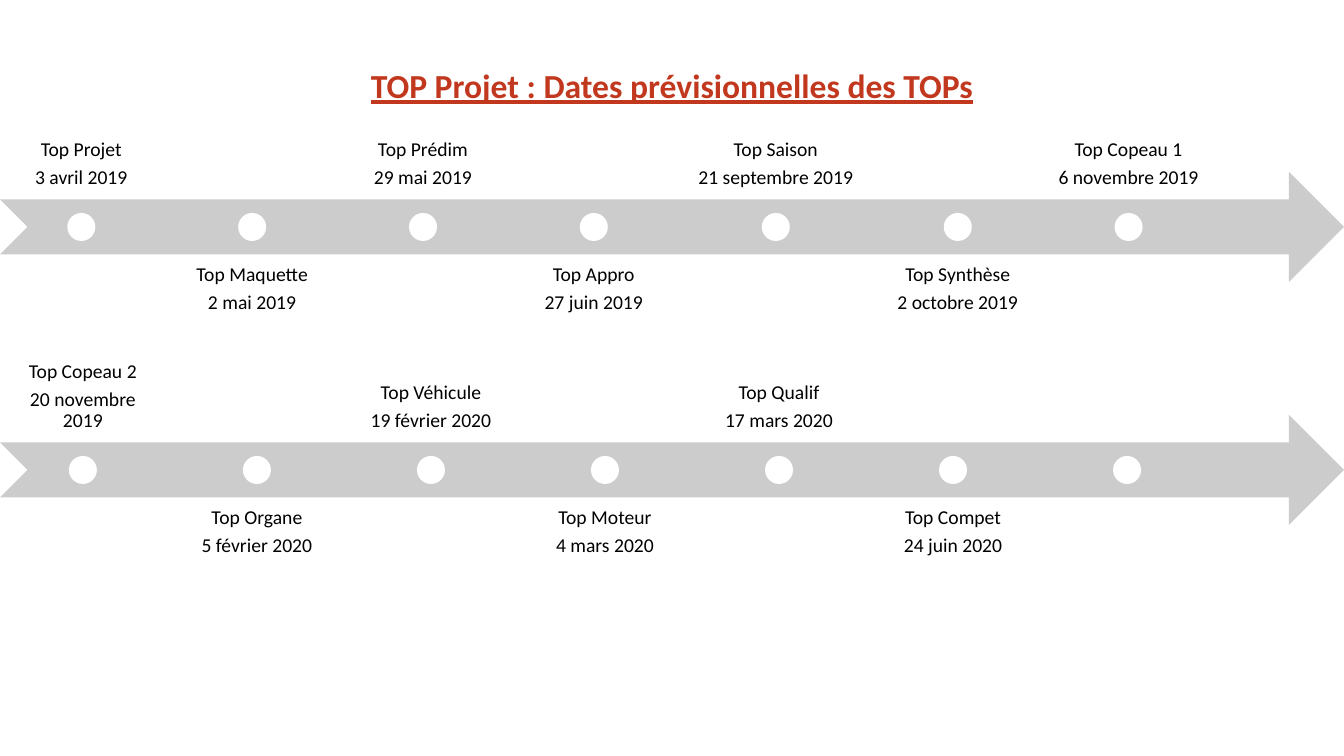
"""Build the slide of planned project milestones on two timeline arrows."""
from pptx import Presentation
from pptx.dml.color import RGBColor
from pptx.enum.shapes import MSO_SHAPE
from pptx.enum.text import MSO_ANCHOR, PP_ALIGN
from pptx.util import Pt

ARROW, DOT = MSO_SHAPE.NOTCHED_RIGHT_ARROW, MSO_SHAPE.OVAL
TOP, BOTTOM = MSO_ANCHOR.TOP, MSO_ANCHOR.BOTTOM
CENTER = PP_ALIGN.CENTER

TITLE = "TOP Projet : Dates prévisionnelles des TOPs"
TIMELINES = [
    {"top": 172, "wide": {4: 185}, "milestones": [
        ("Top Projet", "3 avril 2019"),
        ("Top Maquette", "2 mai 2019"),
        ("Top Prédim", "29 mai 2019"),
        ("Top Appro", "27 juin 2019"),
        ("Top Saison", "21 septembre 2019"),
        ("Top Synthèse", "2 octobre 2019"),
        ("Top Copeau 1", "6 novembre 2019"),
    ]},
    {"top": 415, "wide": {}, "milestones": [
        ("Top Copeau 2", "20 novembre 2019"),
        ("Top Organe", "5 février 2020"),
        ("Top Véhicule", "19 février 2020"),
        ("Top Moteur", "4 mars 2020"),
        ("Top Qualif", "17 mars 2020"),
        ("Top Compet", "24 juin 2020"),
        (),
    ]},
]
COLORS = {"title": "C2381E", "arrow": "CCCCCC", "dot": "FFFFFF", "label": "000000"}
TITLE_FONT = {"name": "Calibri", "size": Pt(24), "bold": True, "underline": True}
LABEL_FONT = {"name": "Calibri", "size": Pt(14)}
LABEL_PARAGRAPH = {"alignment": CENTER, "line_spacing": 0.9, "space_after": Pt(4.9)}

EMU_PER_PX = 914400 / 100.8
PAGE_WIDTH, PAGE_HEIGHT = 1344, 756
TRACK_WIDTH = 1210
ARROW_HEIGHT = 110
LABEL_SHIFT = 82
DOT_SIZE = 28
INSET = 11
GAP_RATIO = 0.05


def px(length):
    return round(length * EMU_PER_PX)


def apply(target, values):
    for name, value in values.items():
        setattr(target, name, value)


def set_font(font, values, color):
    apply(font, values)
    font.color.rgb = RGBColor.from_string(COLORS[color])


def add_solid(page, kind, bounds, color):
    shape = page.shapes.add_shape(kind, *map(px, bounds))
    shape.shadow.inherit = False
    shape.fill.solid()
    shape.fill.fore_color.rgb = RGBColor.from_string(COLORS[color])
    shape.line.fill.background()


def add_label(page, bounds, lines, anchor):
    frame = page.shapes.add_textbox(*map(px, bounds)).text_frame
    apply(frame, {"word_wrap": True, "vertical_anchor": anchor})
    for side in ("left", "top", "right", "bottom"):
        setattr(frame, f"margin_{side}", px(INSET))
    frame.text = "\n".join(lines)
    for paragraph in frame.paragraphs:
        apply(paragraph, LABEL_PARAGRAPH)
        set_font(paragraph.runs[0].font, LABEL_FONT, "label")


def add_title(page):
    title = page.shapes.title
    apply(title, {"left": 0, "top": px(60), "width": px(PAGE_WIDTH), "height": px(50)})
    frame = title.text_frame
    apply(frame, {"text": TITLE, "word_wrap": True, "vertical_anchor": TOP})
    paragraph = frame.paragraphs[0]
    paragraph.alignment = CENTER
    set_font(paragraph.runs[0].font, TITLE_FONT, "title")


def add_timeline(page, top, wide, milestones):
    add_solid(page, ARROW, (0, top, PAGE_WIDTH, ARROW_HEIGHT), "arrow")
    count = len(milestones)
    shares = count - len(wide) + GAP_RATIO * (count - 1)
    standard = (TRACK_WIDTH - sum(wide.values())) / shares
    dot_top = top + (ARROW_HEIGHT - DOT_SIZE) / 2
    left = 0
    for index, lines in enumerate(milestones):
        width = wide.get(index, standard)
        shift, anchor = (LABEL_SHIFT, TOP) if index % 2 else (-LABEL_SHIFT, BOTTOM)
        if lines:
            add_label(page, (left, top + shift, width, ARROW_HEIGHT), lines, anchor)
        dot_left = left + (width - DOT_SIZE) / 2
        add_solid(page, DOT, (dot_left, dot_top, DOT_SIZE, DOT_SIZE), "dot")
        left += width + GAP_RATIO * standard


def main():
    deck = Presentation()
    apply(deck, {"slide_width": px(PAGE_WIDTH), "slide_height": px(PAGE_HEIGHT)})
    page = deck.slides.add_slide(deck.slide_layouts[5])
    add_title(page)
    for timeline in TIMELINES:
        add_timeline(page, **timeline)
    deck.save("out.pptx")


if __name__ == "__main__":
    main()
